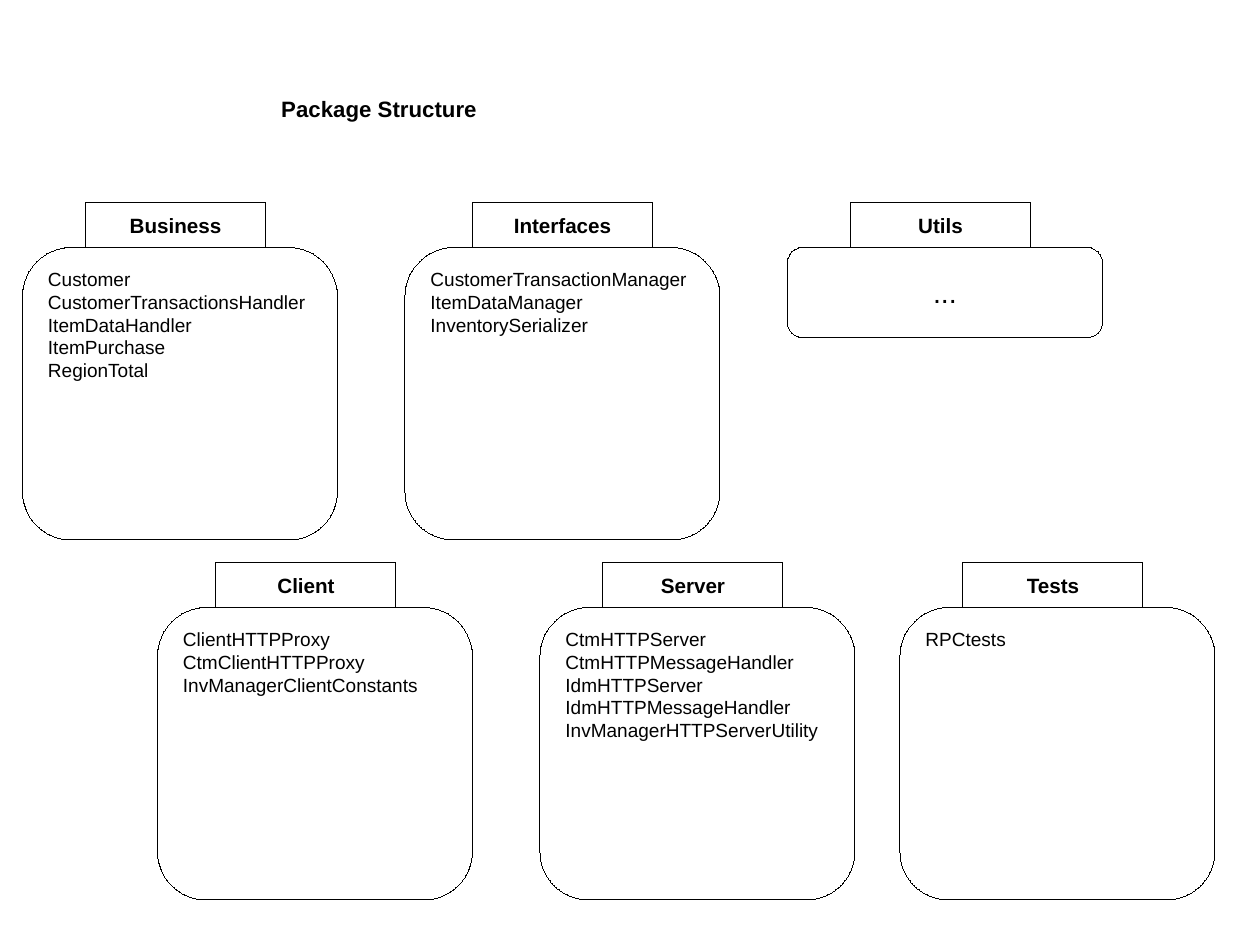
from pptx import Presentation
from pptx.dml.color import RGBColor
from pptx.enum.shapes import MSO_SHAPE
from pptx.enum.text import MSO_ANCHOR, MSO_AUTO_SIZE, PP_ALIGN
from pptx.util import Inches, Pt

# Content: package name, tab left, body left, classes
TITLE = "Package Structure"
UPPER_PACKAGES = [
    ("Business", 1.9, 0.5, ["Customer", "CustomerTransactionsHandler", "ItemDataHandler",
                            "ItemPurchase", "RegionTotal"]),
    ("Interfaces", 10.5, 9, ["CustomerTransactionManager", "ItemDataManager",
                             "InventorySerializer"]),
    ("Utils", 18.9, 17.5, ["..."]),
]
LOWER_PACKAGES = [
    ("Client", 4.8, 3.5, ["ClientHTTPProxy", "CtmClientHTTPProxy",
                          "InvManagerClientConstants"]),
    ("Server", 13.4, 12, ["CtmHTTPServer", "CtmHTTPMessageHandler", "IdmHTTPServer",
                          "IdmHTTPMessageHandler", "InvManagerHTTPServerUtility"]),
    ("Tests", 21.4, 20, ["RPCtests"]),
]
ROWS = [(4.5, UPPER_PACKAGES), (12.5, LOWER_PACKAGES)]

# Style, with sizes in grid units of one centimetre
COLORS = {"ink": "000000", "paper": "FFFFFF"}
FONT = "Arial"
UNITS_PER_INCH = 2.54
SLIDE_WIDTH, SLIDE_HEIGHT = 28, 21
TAB_WIDTH, TAB_HEIGHT = 4, 1
BODY_WIDTH, BODY_HEIGHT, SHORT_BODY_HEIGHT = 7, 6.5, 2
CORNER = 0.167
HAIRLINE = Pt(0.01)


def grid(units):
    return Inches(units / UNITS_PER_INCH)


def color(name):
    return RGBColor.from_string(COLORS[name])


def write_lines(shape, lines, size, bold=False, centered=False):
    frame = shape.text_frame
    frame.word_wrap = True
    frame.vertical_anchor = MSO_ANCHOR.MIDDLE if centered else MSO_ANCHOR.TOP
    for index, line in enumerate(lines):
        paragraph = frame.add_paragraph() if index else frame.paragraphs[0]
        paragraph.alignment = PP_ALIGN.CENTER if centered else PP_ALIGN.LEFT
        run = paragraph.add_run()
        run.text = line
        run.font.name = FONT
        run.font.size = Pt(size)
        run.font.bold = bold
        run.font.color.rgb = color("ink")


def add_box(slide, kind, left, top, width, height):
    shape = slide.shapes.add_shape(kind, grid(left), grid(top), grid(width), grid(height))
    shape.shadow.inherit = False
    shape.fill.solid()
    shape.fill.fore_color.rgb = color("paper")
    shape.line.color.rgb = color("ink")
    shape.line.width = HAIRLINE
    return shape


def add_package(slide, name, tab_left, body_left, top, classes):
    # Rounded body with the class names
    elided = classes == ["..."]
    height = SHORT_BODY_HEIGHT if elided else BODY_HEIGHT
    body = add_box(slide, MSO_SHAPE.ROUNDED_RECTANGLE,
                   body_left, top + TAB_HEIGHT, BODY_WIDTH, height)
    body.adjustments[0] = CORNER
    write_lines(body, classes, 18 if elided else 12, centered=elided)

    # Tab with the package name
    tab = add_box(slide, MSO_SHAPE.RECTANGLE, tab_left, top, TAB_WIDTH, TAB_HEIGHT)
    write_lines(tab, [name], 13, bold=True, centered=True)


def main():
    presentation = Presentation()
    presentation.slide_width = grid(SLIDE_WIDTH)
    presentation.slide_height = grid(SLIDE_HEIGHT)
    slide = presentation.slides.add_slide(presentation.slide_layouts[6])

    # Title
    title = slide.shapes.add_textbox(grid(6), grid(2), grid(7), Inches(0.32))
    write_lines(title, [TITLE], 14, bold=True)
    title.text_frame.auto_size = MSO_AUTO_SIZE.SHAPE_TO_FIT_TEXT

    # Packages
    for top, packages in ROWS:
        for name, tab_left, body_left, classes in packages:
            add_package(slide, name, tab_left, body_left, top, classes)

    presentation.save("out.pptx")


if __name__ == "__main__":
    main()
